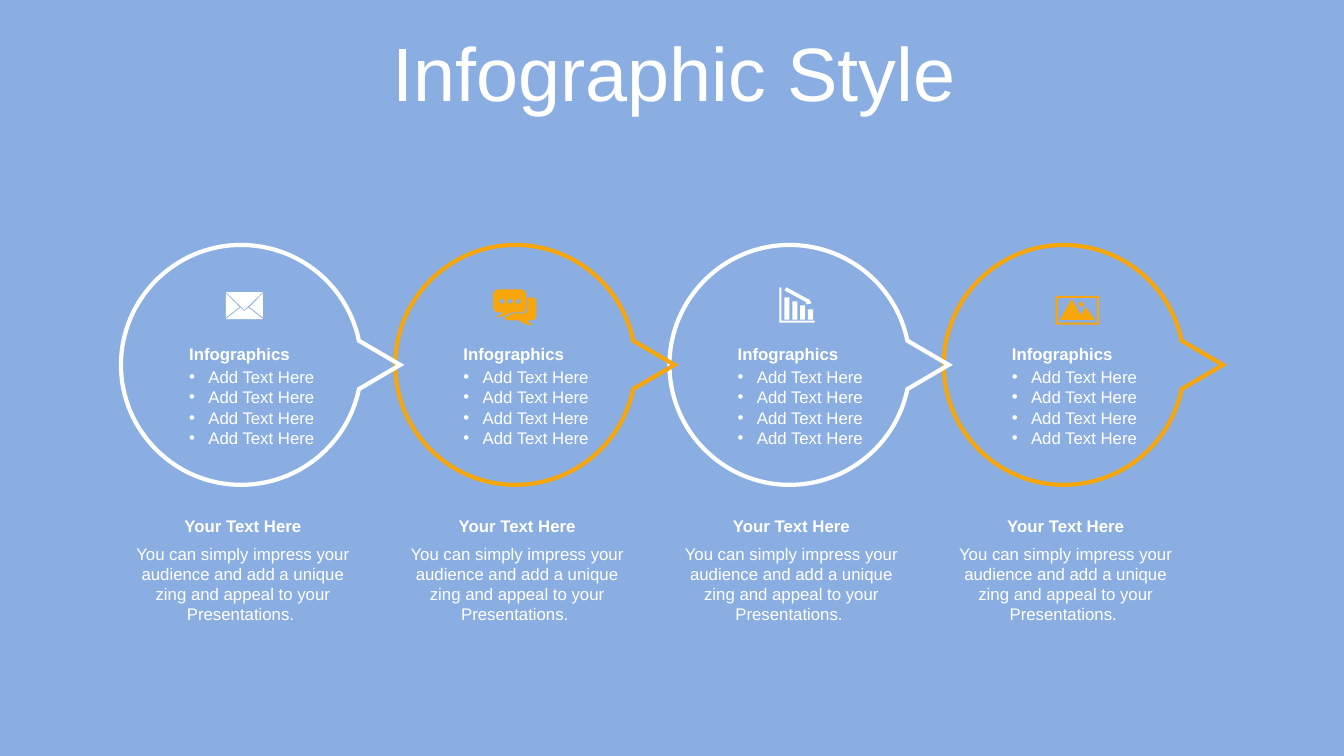
from lxml.etree import SubElement
from pptx import Presentation
from pptx.dml.color import RGBColor
from pptx.enum.text import MSO_ANCHOR, MSO_AUTO_SIZE, PP_ALIGN
from pptx.oxml.ns import qn
from pptx.util import Inches, Pt

SKY = RGBColor(0x8A, 0xAE, 0xE2)
WHITE = RGBColor(0xFF, 0xFF, 0xFF)
ORANGE = RGBColor(0xF7, 0xA6, 0x0B)

FIRST_COLUMN, COLUMN_PITCH = 12, 27.2
BUBBLE_RADIUS, BUBBLE_MIDDLE = 11.9, 36.2
ACCENTS = [WHITE, ORANGE, WHITE, ORANGE]
CAPTION = ("You can simply impress your audience and add a unique zing "
           "and appeal to your Presentations. ")


def cells(count):
    """Turn a number of grid cells, ten to the inch, into a length."""
    return Inches(count / 10)


def turn(start, end, upright):
    """Give a quarter-circle curve that leaves its start upright or level."""
    (x0, y0), (x1, y1) = start, end
    across, down = 0.55 * (x1 - x0), 0.55 * (y1 - y0)
    if upright:
        return (x0, y0 + down), (x1 - across, y1), end
    return (x0 + across, y0), (x1, y1 - down), end


def box(left, top, right, bottom):
    """List the corners of a rectangle."""
    return [(left, top), (right, top), (right, bottom), (left, bottom)]


def dot(x, y, radius=0.25):
    """List the start and the four curves of a small round dot."""
    top, right = (x, y - radius), (x + radius, y)
    bottom, left = (x, y + radius), (x - radius, y)
    return [top, turn(top, left, False), turn(left, bottom, True),
            turn(bottom, right, False), turn(right, top, True)]


def pointed_circle(radius):
    """List the corners and curves of a circle with a pointer on its right."""
    return [(0, -radius), ((5.8, -radius), (10.6, -7.8), (11.7, -2.4)),
            (15.8, 0), (11.7, 2.4), ((10.6, 7.8), (5.8, radius), (0, radius)),
            turn((0, radius), (-radius, 0), False),
            turn((-radius, 0), (0, -radius), True)]


def envelope():
    """Outline the four flaps of a letter."""
    return [
        [(2.24, 1.54), (3.68, 2.68), (0, 2.68), (1.46, 1.54), (1.84, 1.9)],
        [(3.68, 0.12), (3.68, 2.54), (2.34, 1.48)],
        [(0, 0.12), (1.36, 1.48), (0, 2.54)],
        [(0, 0), (3.68, 0), (1.84, 1.78)],
    ]


def chat():
    """Outline two speech balloons, the front one with three dots."""
    front = [(0.5, 0), (2.8, 0), turn((2.8, 0), (3.3, 0.5), False),
             (3.3, 1.8), turn((3.3, 1.8), (2.8, 2.3), True), (1.8, 2.3),
             ((1.3, 2.6), (1.1, 2.7), (0.2, 2.8)),
             ((0.7, 2.5), (0.8, 2.6), (1, 2.3)), (0.5, 2.3),
             turn((0.5, 2.3), (0, 1.8), False), (0, 0.5),
             turn((0, 0.5), (0.5, 0), True)]
    rear = [(3.4, 0.8), (3.9, 0.8), turn((3.9, 0.8), (4.3, 1.2), False),
            (4.3, 2.6), turn((4.3, 2.6), (3.9, 3.1), True), (3.4, 3.1),
            ((3.5, 3.2), (3.5, 3.3), (4, 3.6)),
            ((3.1, 3.5), (3, 3.4), (2.6, 3.1)), (1.5, 3.1),
            ((1.3, 3.1), (1.2, 3), (1.1, 2.8)),
            ((1.4, 2.7), (1.6, 2.6), (1.9, 2.4)), (3, 2.4),
            turn((3, 2.4), (3.4, 2), False)]
    return [dot(x, 1.2) for x in (2.5, 1.7, 0.9)] + [rear, front]


def falling_chart():
    """Outline four shrinking bars, a falling arrow and two axes."""
    bars = [box(0.5 + 0.78 * i, 1 + 0.4 * i, 1 + 0.78 * i, 3.2) for i in range(4)]
    arrow = [(0.7, 0), (2.9, 1.2), (2.9, 1.1), (3.2, 1.6), (2.6, 1.7),
             (2.7, 1.5), (0.5, 0.3)]
    axes = [(0, 0), (0.2, 0), (0.2, 3.3), (3.5, 3.3), (3.5, 3.5), (0, 3.5)]
    return bars + [arrow, axes]


def landscape():
    """Outline a framed view of two peaks and a sun."""
    peaks = [(1.6, 0.3), (2.5, 1.9), (3, 1.1), (3.9, 2.4), (0.4, 2.4)]
    return [dot(2.55, 0.85), peaks, box(0.25, 0.2, 4.1, 2.65), box(0, 0, 4.3, 2.85)]


ICONS = [(10.4, 28.97, envelope()), (9.7, 28.7, chat()),
         (10.9, 28.5, falling_chart()), (11.1, 29.35, landscape())]


class Deck:
    """Hold the text style and the current slide, and draw its elements."""

    def __init__(self, presentation, font="Arial", size=12):
        self.font, self.size = font, size
        self.slide = presentation.slides.add_slide(presentation.slide_layouts[5])
        self.slide.background.fill.solid()
        self.slide.background.fill.fore_color.rgb = SKY

    def run(self, paragraph, text, size=None, bold=False):
        """Add one run in the deck's style."""
        run = paragraph.add_run()
        run.text = text
        run.font.name, run.font.size = self.font, Pt(size or self.size)
        run.font.bold, run.font.color.rgb = bold, WHITE

    def title(self, text):
        """Place and fill the title."""
        title = self.slide.shapes.title
        title.left, title.top = cells(3.55), cells(3.05)
        title.width, title.height = cells(126.6), cells(9.2)
        title.text_frame.vertical_anchor = MSO_ANCHOR.MIDDLE
        heading = title.text_frame.paragraphs[0]
        heading.alignment, heading.line_spacing = PP_ALIGN.CENTER, 0.9
        self.run(heading, text, 54)

    def group(self):
        """Start a group of text boxes."""
        return self.slide.shapes.add_group_shape()

    def text(self, group, left, top, width, height, lines, bold=False,
             centred=False, bullets=False):
        """Add a text box, with centred, plain or bulleted lines."""
        frame = group.shapes.add_textbox(
            cells(left), cells(top), cells(width), cells(height)).text_frame
        frame.word_wrap = True
        frame.auto_size = MSO_AUTO_SIZE.SHAPE_TO_FIT_TEXT
        if not centred:
            frame.vertical_anchor = MSO_ANCHOR.MIDDLE
            frame.margin_left = cells(2)
        for i, line in enumerate(lines):
            paragraph = frame.add_paragraph() if i else frame.paragraphs[0]
            if bullets:
                properties = paragraph._p.get_or_add_pPr()
                properties.set("marL", str(cells(1.9)))
                properties.set("indent", str(-cells(1.9)))
                SubElement(properties, qn("a:buFont"), typeface=self.font)
                SubElement(properties, qn("a:buChar"), char="•")
            paragraph.alignment = PP_ALIGN.CENTER if centred else PP_ALIGN.LEFT
            self.run(paragraph, line, bold=bold)

    def outline(self, left, top, contours):
        """Build one freeform of straight lines and three-point curves."""
        def place(point):
            return cells(left + point[0]), cells(top + point[1])

        builder = None
        for contour in contours:
            start, *ends = [place(step[-1] if len(step) == 3 else step)
                            for step in contour]
            if builder:
                builder.move_to(*start)
            else:
                builder = self.slide.shapes.build_freeform(*start, scale=1.0)
            builder.add_line_segments(ends, close=contour[-1][-1] != contour[0])
        shape = builder.convert_to_shape()
        shape.shadow.inherit = False
        commands = list(shape._element.iter(qn("a:moveTo"), qn("a:lnTo")))
        steps = [step for contour in contours for step in contour]
        for command, step in zip(commands, steps):
            if len(step) == 3:
                command.tag = qn("a:cubicBezTo")
                command.remove(command[0])
                for x, y in map(place, step):
                    SubElement(command, qn("a:pt"), x=str(x - shape.left),
                               y=str(y - shape.top))
        return shape

    def bubble(self, left, color):
        """Draw a hollow circle with a pointer on its right."""
        bubble = self.outline(left + BUBBLE_RADIUS, BUBBLE_MIDDLE,
                              [pointed_circle(BUBBLE_RADIUS)])
        bubble.fill.background()
        bubble.line.color.rgb, bubble.line.width = color, Pt(3)
        SubElement(bubble.line._get_or_add_ln(), qn("a:miter"), lim="800000")

    def icon(self, left, top, contours, color):
        """Draw a filled icon without a line."""
        icon = self.outline(left, top, contours)
        icon.fill.solid()
        icon.fill.fore_color.rgb = color
        icon.line.fill.background()


def main():
    """Build the slide and save it."""
    presentation = Presentation()
    presentation.slide_width, presentation.slide_height = Inches(13.33), Inches(7.5)
    deck = Deck(presentation)
    deck.title("Infographic Style")
    columns = [FIRST_COLUMN + COLUMN_PITCH * i for i in range(len(ACCENTS))]
    for left, accent in reversed(list(zip(columns, ACCENTS))):
        deck.bubble(left, accent)
        points = deck.group()
        deck.text(points, left + 4.76, 33.65, 16.9, 3, ["Infographics"], bold=True)
        deck.text(points, left + 4.76, 35.85, 16.9, 9.1, ["Add Text Here"] * 4,
                  bullets=True)
    for left in columns:
        caption = deck.group()
        deck.text(caption, left + 0.1, 50.7, 24, 3, ["Your Text Here"],
                  bold=True, centred=True)
        deck.text(caption, left + 0.1, 53.45, 24, 9.1, [CAPTION], centred=True)
    for left, accent, (offset, top, contours) in zip(columns, ACCENTS, ICONS):
        deck.icon(left + offset, top, contours, accent)
    presentation.save("out.pptx")


if __name__ == "__main__":
    main()
